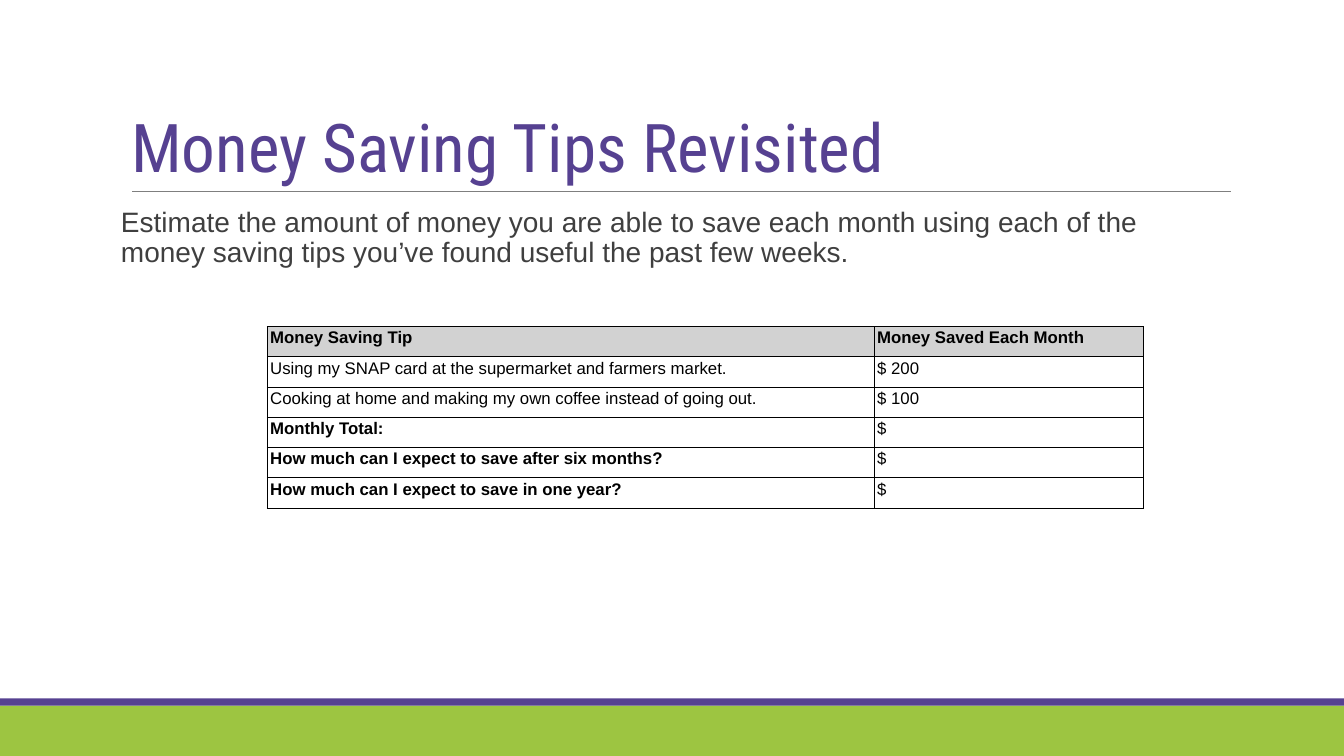
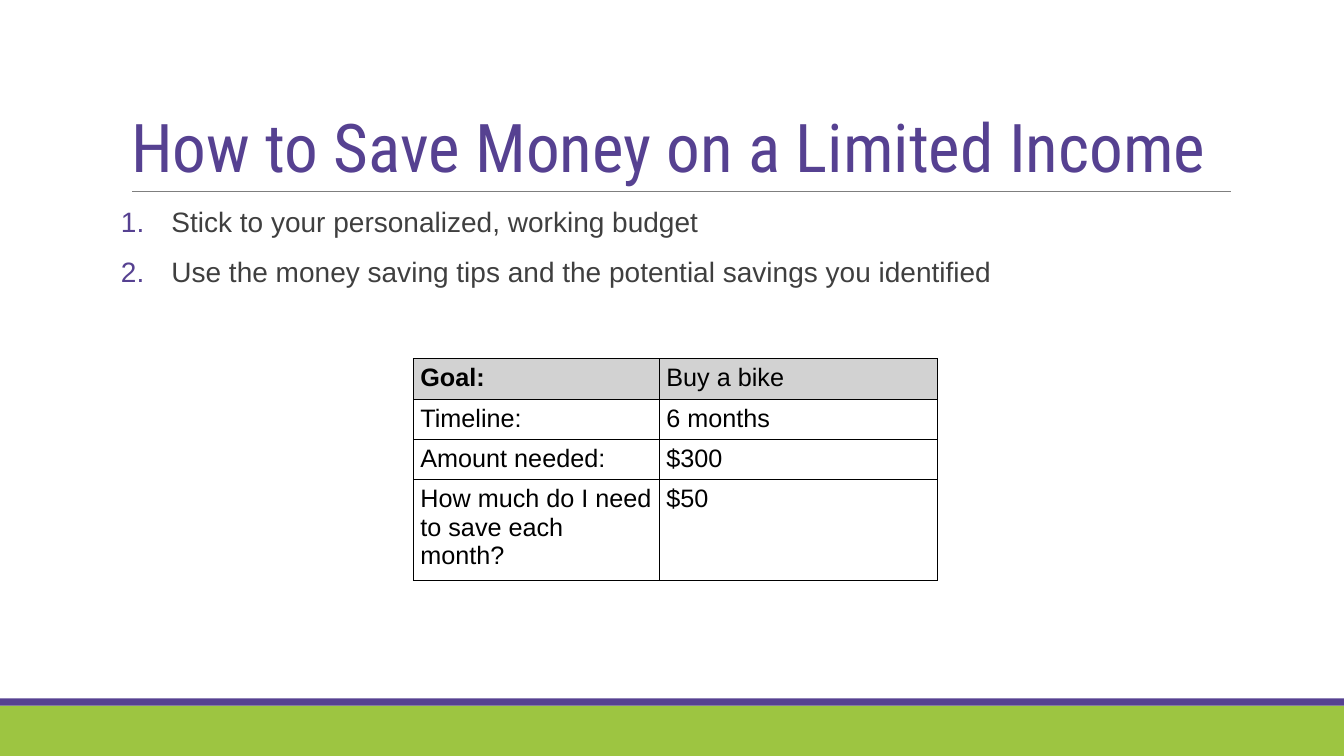
import pptx
import pptx.dml.color
import pptx.enum.shapes
import pptx.enum.text
import pptx.oxml
import pptx.oxml.ns
import pptx.util
from pptx.util import Inches

PURPLE = pptx.dml.color.RGBColor(0x56, 0x41, 0x91)
GREEN = pptx.dml.color.RGBColor(0x9D, 0xC5, 0x41)
RULE_GREY = pptx.dml.color.RGBColor(0x7F, 0x7F, 0x7F)
TEXT_GREY = pptx.dml.color.RGBColor(0x3F, 0x3F, 0x3F)
HEADER_GREY = pptx.dml.color.RGBColor(0xD2, 0xD2, 0xD2)
BLACK = pptx.dml.color.RGBColor(0, 0, 0)
TITLE_FONT, BODY_FONT = "Roboto Condensed", "Arial"
SLIDE_WIDTH = 13.33
BANDS = [(7, 0.5, GREEN), (6.93, 0.07, PURPLE)]

SLIDES = [
    {
        "title": "Money Saving Tips Revisited",
        "body": [
            "Estimate the amount of money you are able to save each month using each "
            "of the money saving tips you’ve found useful the past few weeks.",
        ],
        "numbered": False,
        "table": {
            "left": 2.65, "top": 3.24, "columns": [6.02, 2.67], "row_height": 0.3,
            "margins": (0.03, 0.02), "size": 12,
            "bold": {(0, 0), (0, 1), (3, 0), (4, 0), (5, 0)},
            "rows": [
                ("Money Saving Tip", "Money Saved Each Month"),
                ("Using my SNAP card at the supermarket and farmers market.", "$ 200"),
                ("Cooking at home and making my own coffee instead of going out.", "$ 100"),
                ("Monthly Total:", "$"),
                ("How much can I expect to save after six months?", "$"),
                ("How much can I expect to save in one year?", "$"),
            ],
        },
    },
    {
        "title": "How to Save Money on a Limited Income",
        "body": [
            "Stick to your personalized, working budget",
            "Use the money saving tips and the potential savings you identified",
        ],
        "numbered": True,
        "table": {
            "left": 4.1, "top": 3.56, "columns": [2.44, 2.76], "row_height": 0.25,
            "margins": (0.07, 0.05), "size": 18,
            "bold": {(0, 0)},
            "rows": [
                ("Goal:", "Buy a bike"),
                ("Timeline:", "6 months"),
                ("Amount needed:", "$300"),
                ("How much do I need to save each month?", "$50"),
            ],
        },
    },
]


def format_font(font, name, size, color, bold=False):
    values = {"name": name, "size": pptx.util.Pt(size), "bold": bold}
    for attribute, value in values.items():
        setattr(font, attribute, value)
    font.color.rgb = color


def add_xml(parent, xml, position=None):
    """Insert a DrawingML element into parent, at the end by default."""
    element = pptx.oxml.parse_xml(xml.replace(" ", f" {pptx.oxml.ns.nsdecls('a')} ", 1))
    parent.insert(len(parent) if position is None else position, element)


presentation = pptx.Presentation()
presentation.slide_width = Inches(SLIDE_WIDTH)
presentation.slide_height = Inches(7.5)
title_only = presentation.slide_layouts[5]

for content in SLIDES:
    slide = presentation.slides.add_slide(title_only)

    # Bands and title rule
    for top, height, color in BANDS:
        band = slide.shapes.add_shape(
            pptx.enum.shapes.MSO_SHAPE.RECTANGLE,
            0, Inches(top), Inches(SLIDE_WIDTH), Inches(height))
        band.shadow.inherit = False
        band.fill.solid()
        band.fill.fore_color.rgb = color
        band.line.fill.background()
    rule = slide.shapes.add_connector(
        pptx.enum.shapes.MSO_CONNECTOR.STRAIGHT,
        Inches(1.31), Inches(1.9), Inches(12.21), Inches(1.9))
    rule.line.color.rgb = RULE_GREY
    rule.line.width = pptx.util.Pt(0.75)
    add_xml(rule.element.spPr, "<a:effectLst />")

    # Title
    title = slide.shapes.title
    title.left, title.top = Inches(1.2), Inches(0.31)
    title.width, title.height = Inches(11), Inches(1.59)
    title.text_frame.text = content["title"]
    title.text_frame.auto_size = pptx.enum.text.MSO_AUTO_SIZE.NONE
    title.text_frame.vertical_anchor = pptx.enum.text.MSO_ANCHOR.BOTTOM
    paragraph = title.text_frame.paragraphs[0]
    paragraph.alignment = pptx.enum.text.PP_ALIGN.LEFT
    paragraph.line_spacing = 0.85
    format_font(paragraph.runs[0].font, TITLE_FONT, 48, PURPLE)

    # Body text
    body = slide.shapes.add_textbox(Inches(1.2), Inches(2.02), Inches(11), Inches(4.4))
    body.text_frame.word_wrap = True
    body.text_frame.margin_left = body.text_frame.margin_right = 0
    body.text_frame.text = "\n".join(content["body"])
    for index, paragraph in enumerate(body.text_frame.paragraphs):
        paragraph.line_spacing = 0.9
        paragraph.space_before = pptx.util.Pt(14 if index else 0)
        format_font(paragraph.runs[0].font, BODY_FONT, 20, TEXT_GREY)
        if content["numbered"]:
            properties = paragraph._p.get_or_add_pPr()
            properties.set("marL", str(Inches(0.5)))
            properties.set("indent", str(Inches(-0.5)))
            add_xml(properties, f'<a:buClr ><a:srgbClr val="{PURPLE}"/></a:buClr>')
            add_xml(properties, f'<a:buFont typeface="{BODY_FONT}"/>')
            add_xml(properties, '<a:buAutoNum type="arabicPeriod"/>')

    # Table
    layout = content["table"]
    rows, columns = layout["rows"], layout["columns"]
    table = slide.shapes.add_table(
        len(rows), len(columns), Inches(layout["left"]), Inches(layout["top"]),
        Inches(sum(columns)), Inches(layout["row_height"] * len(rows))).table
    table.first_row = table.horz_banding = False
    for column, width in zip(table.columns, columns):
        column.width = Inches(width)
    side_margin, end_margin = layout["margins"]
    for row_index, texts in enumerate(rows):
        table.rows[row_index].height = Inches(layout["row_height"])
        for column_index, text in enumerate(texts):
            cell = table.cell(row_index, column_index)
            cell.text = text
            cell.margin_left = cell.margin_right = Inches(side_margin)
            cell.margin_top = cell.margin_bottom = Inches(end_margin)
            if row_index == 0:
                cell.fill.solid()
                cell.fill.fore_color.rgb = HEADER_GREY
            else:
                cell.fill.background()
            format_font(cell.text_frame.paragraphs[0].runs[0].font, BODY_FONT,
                        layout["size"], BLACK, (row_index, column_index) in layout["bold"])
            for position, side in enumerate(("lnL", "lnR", "lnT", "lnB")):
                add_xml(cell._tc.get_or_add_tcPr(),
                        f'<a:{side} w="{pptx.util.Pt(0.75)}"><a:solidFill>'
                        f'<a:srgbClr val="{BLACK}"/></a:solidFill></a:{side}>', position)

presentation.save("out.pptx")
